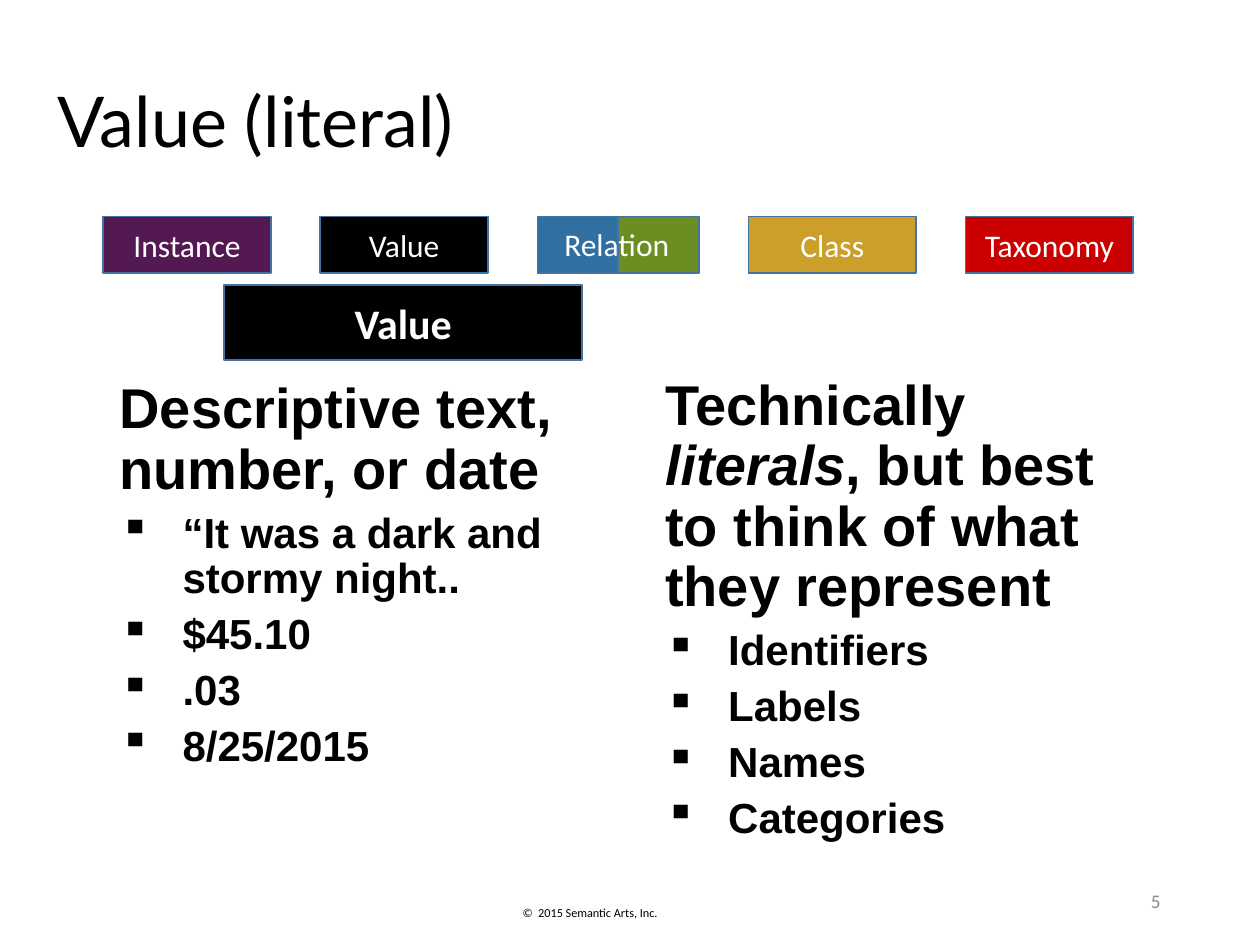
import pptx
import pptx.dml.color
import pptx.enum.shapes
import pptx.enum.text
import pptx.util
from lxml import etree

Pt = pptx.util.Pt
ALIGN = pptx.enum.text.PP_ALIGN
ANCHOR = pptx.enum.text.MSO_ANCHOR


def color(hex_string):
    return pptx.dml.color.RGBColor.from_string(hex_string)


class SlideWriter:
    face = "Calibri"
    body_face = "Arial"
    dark = "000000"
    light = "FFFFFF"
    outline = "43739E"
    bullet = "▪"
    indent = 36

    def __init__(self, page):
        self.page = page

    def style(self, para, size, ink, face=None, bold=False, align=ALIGN.LEFT):
        para.alignment = align
        para.font.name = face or self.face
        para.font.size = Pt(size)
        para.font.bold = bold
        para.font.color.rgb = color(ink)

    def frame(self, left, top, width, height, anchor=ANCHOR.TOP, wrap=True):
        box = self.page.shapes.add_textbox(Pt(left), Pt(top), Pt(width), Pt(height))
        box.text_frame.word_wrap = wrap
        box.text_frame.vertical_anchor = anchor
        return box.text_frame

    def label(self, text, place, size, ink, face=None, align=ALIGN.LEFT,
              anchor=ANCHOR.MIDDLE, wrap=True, spacing=1.0):
        para = self.frame(*place, anchor, wrap).paragraphs[0]
        para.text = text
        para.line_spacing = spacing
        self.style(para, size, ink, face, align=align)

    def block(self, place, fill, text="", size=18, bold=False):
        box = self.page.shapes.add_shape(
            pptx.enum.shapes.MSO_SHAPE.RECTANGLE, *[Pt(value) for value in place])
        box.shadow.inherit = False
        box.fill.solid()
        box.fill.fore_color.rgb = color(fill)
        box.line.color.rgb = color(self.outline)
        box.line.width = Pt(1)
        if text:
            box.text_frame.vertical_anchor = ANCHOR.MIDDLE
            para = box.text_frame.paragraphs[0]
            para.text = text
            self.style(para, size, self.light, bold=bold, align=ALIGN.CENTER)

    def add_bullet(self, para):
        properties = para._p.get_or_add_pPr()
        properties.set("marL", str(Pt(self.indent)))
        properties.set("indent", str(-Pt(self.indent)))
        mark = etree.SubElement(properties, pptx.oxml.ns.qn("a:buChar"))
        mark.set("char", self.bullet)

    def column(self, place, heading, items):
        text_frame = self.frame(*place)
        para = text_frame.paragraphs[0]
        for text, italic in heading:
            span = para.add_run()
            span.text = text
            if italic:
                span.font.italic = True
        para.line_spacing = 0.9
        self.style(para, 32, self.dark, self.body_face, bold=True)
        for item in items:
            para = text_frame.add_paragraph()
            para.text = item
            self.add_bullet(para)
            para.line_spacing = 0.9
            para.space_before = Pt(6)
            self.style(para, 24, self.dark, self.body_face, bold=True)


def main():
    deck = pptx.Presentation()
    deck.slide_width, deck.slide_height = Pt(720), Pt(540)
    writer = SlideWriter(deck.slides.add_slide(deck.slide_layouts[6]))

    writer.label("©  2015 Semantic Arts, Inc. ", (282.2, 511.2, 102.2, 18), 7,
                 writer.dark, align=ALIGN.RIGHT, anchor=ANCHOR.BOTTOM)
    writer.label("Value (literal)", (25.9, 18.7, 664.6, 105.8), 40, writer.dark,
                 face="Lato", spacing=0.9)
    writer.label("5", (508.3, 500.4, 162, 28.8), 11, "8C8C8C", align=ALIGN.RIGHT)

    writer.column((61.2, 213.8, 262.8, 293),
                  [("Descriptive text, number, or date", False)],
                  ["“It was a dark and stormy night..", "$45.10", ".03", "8/25/2015"])
    writer.column((373, 211.7, 262.8, 293),
                  [("Technically ", False), ("literals", True),
                   (", but best to think of what they represent", False)],
                  ["Identifiers", "Labels", "Names", "Categories"])
    writer.block((128.2, 162.7, 204.5, 43.2), writer.dark, "Value", 24, bold=True)

    left, top, height, gap = 59, 123.8, 32.4, 28.3
    concepts = [("Instance", 95.8, ["541852"]), ("Value", 95.8, ["000000"]),
                ("Relation", 92.2, ["306FA2", "6B8E23"]),
                ("Class", 95.8, ["CC9F2A"]), ("Taxonomy", 95.8, ["CB0000"])]
    for name, width, fills in concepts:
        part = width / len(fills)
        split = len(fills) > 1
        for index, fill in enumerate(fills):
            writer.block((left + index * part, top, part, height), fill,
                         "" if split else name)
        if split:
            writer.label(name, (left + 8.2, top + 1.5, width - 16.4, 28.8), 18,
                         writer.light, anchor=ANCHOR.TOP, wrap=False)
        left += width + gap

    deck.save("out.pptx")


if __name__ == "__main__":
    main()
